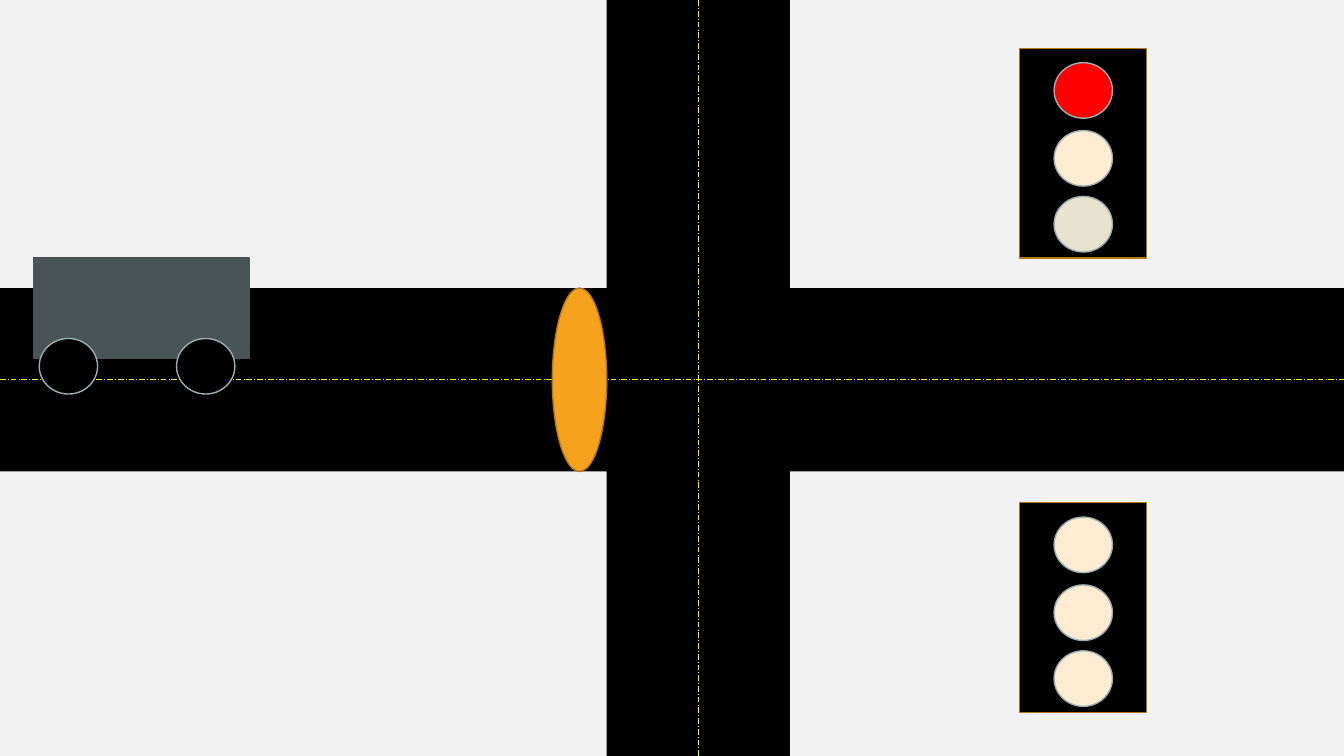
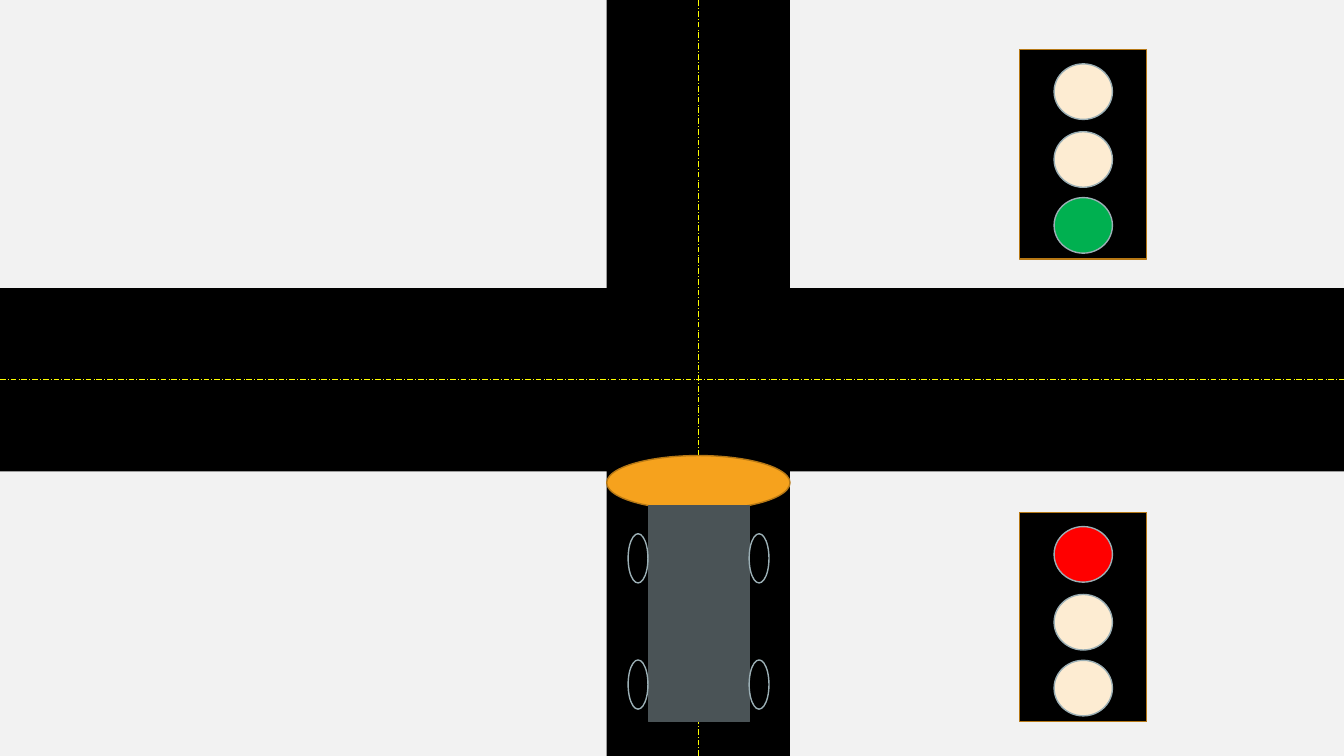
from dataclasses import dataclass

from lxml import etree
from pptx import Presentation
from pptx.dml.color import RGBColor
from pptx.enum.dml import MSO_LINE_DASH_STYLE as Dash
from pptx.enum.shapes import MSO_CONNECTOR, MSO_SHAPE
from pptx.oxml.ns import qn
from pptx.util import Cm, Pt

SLIDE_W, SLIDE_H = 33.87, 19.05
ROAD_W, ROAD_X, ROAD_Y = 4.62, 15.29, 7.26
BARRIER_W = 1.37
LIGHT_X, LIGHT_W, LIGHT_H = 25.7, 3.2, 5.28
LAMP_W, LAMP_H = 1.47, 1.4
LAMP_OFFSETS = (0.36, 2.07, 3.73)

GROUND, ASPHALT, MARKING = "F2F2F2", "000000", "FFFF00"
BODY, WHEEL_EDGE = "4A5356", "9BAFB5"
BARRIER, EDGE = "F6A21D", "B67815"
RED, GREEN, OFF, DIM = "FF0000", "00B050", "FDECD2", "E8E3CE"

RECT, OVAL = MSO_SHAPE.RECTANGLE, MSO_SHAPE.OVAL


@dataclass(frozen=True)
class Box:
    """Left, top, width and height in centimetres."""
    x: float
    y: float
    w: float
    h: float


@dataclass(frozen=True)
class Light:
    top: float
    lamps: tuple[str, str, str]


@dataclass(frozen=True)
class Scene:
    barrier: Box
    body: Box
    wheels: tuple[Box, ...]
    lights: tuple[Light, ...]


SCENES = (
    # Car waits on the left road
    Scene(
        barrier=Box(ROAD_X - BARRIER_W, ROAD_Y, BARRIER_W, ROAD_W),
        body=Box(0.84, 6.5, 5.44, 2.54),
        wheels=tuple(Box(x, 8.53, LAMP_W, LAMP_H) for x in (0.99, 4.45)),
        lights=(Light(1.22, (RED, OFF, DIM)), Light(12.67, (OFF, OFF, OFF))),
    ),
    # Car waits on the lower road
    Scene(
        barrier=Box(ROAD_X, 11.48, ROAD_W, BARRIER_W),
        body=Box(16.35, 12.75, 2.54, 5.44),
        wheels=tuple(Box(x, y, 0.5, 1.24)
                     for x in (15.83, 18.88) for y in (13.45, 16.63)),
        lights=(Light(1.25, (OFF, OFF, GREEN)), Light(12.91, (RED, OFF, OFF))),
    ),
)


def color(value: str) -> RGBColor:
    return RGBColor.from_string(value)


def add_shape(shapes, kind, box: Box, fill: str, line: str | None = None):
    sp = shapes.add_shape(kind, Cm(box.x), Cm(box.y), Cm(box.w), Cm(box.h))
    sp.shadow.inherit = False
    sp.fill.solid()
    sp.fill.fore_color.rgb = color(fill)
    if line is None:
        sp.line.fill.background()
    else:
        sp.line.color.rgb = color(line)
        sp.line.width = Pt(1)
    return sp


def add_marking(s, road, begin: int, end: int) -> None:
    """Dashed centre line joining two sides of a road."""
    cxn = s.shapes.add_connector(MSO_CONNECTOR.STRAIGHT, 0, 0, 0, 0)
    cxn.begin_connect(road, begin)
    cxn.end_connect(road, end)
    cxn.line.color.rgb = color(MARKING)
    cxn.line.width = Pt(0.5)
    cxn.line.dash_style = Dash.LONG_DASH_DOT
    etree.SubElement(cxn._element.spPr, qn("a:effectLst"))


def add_crossing(s) -> None:
    down = add_shape(s.shapes, RECT, Box(ROAD_X, 0, ROAD_W, SLIDE_H), ASPHALT)
    across = add_shape(s.shapes, RECT, Box(0, ROAD_Y, SLIDE_W, ROAD_W), ASPHALT)
    add_marking(s, across, 1, 3)
    add_marking(s, down, 2, 0)


def add_car(s, body: Box, wheels: tuple[Box, ...]) -> None:
    car = s.shapes.add_group_shape()
    add_shape(car.shapes, RECT, body, BODY, BODY)
    for wheel in wheels:
        add_shape(car.shapes, OVAL, wheel, ASPHALT, WHEEL_EDGE)


def add_light(s, light: Light) -> None:
    group = s.shapes.add_group_shape()
    add_shape(group.shapes, RECT, Box(LIGHT_X, light.top, LIGHT_W, LIGHT_H),
              ASPHALT, EDGE)
    lamp_x = LIGHT_X + (LIGHT_W - LAMP_W) / 2
    for offset, fill in zip(LAMP_OFFSETS, light.lamps):
        add_shape(group.shapes, OVAL,
                  Box(lamp_x, light.top + offset, LAMP_W, LAMP_H),
                  fill, WHEEL_EDGE)


def add_scene(prs, scene: Scene) -> None:
    s = prs.slides.add_slide(prs.slide_layouts[6])
    s.background.fill.solid()
    s.background.fill.fore_color.rgb = color(GROUND)
    add_crossing(s)
    add_shape(s.shapes, OVAL, scene.barrier, BARRIER, EDGE)
    add_car(s, scene.body, scene.wheels)
    for light in scene.lights:
        add_light(s, light)


def main() -> None:
    prs = Presentation()
    prs.slide_width, prs.slide_height = Cm(SLIDE_W), Cm(SLIDE_H)
    for scene in SCENES:
        add_scene(prs, scene)
    prs.save("out.pptx")


if __name__ == "__main__":
    main()
